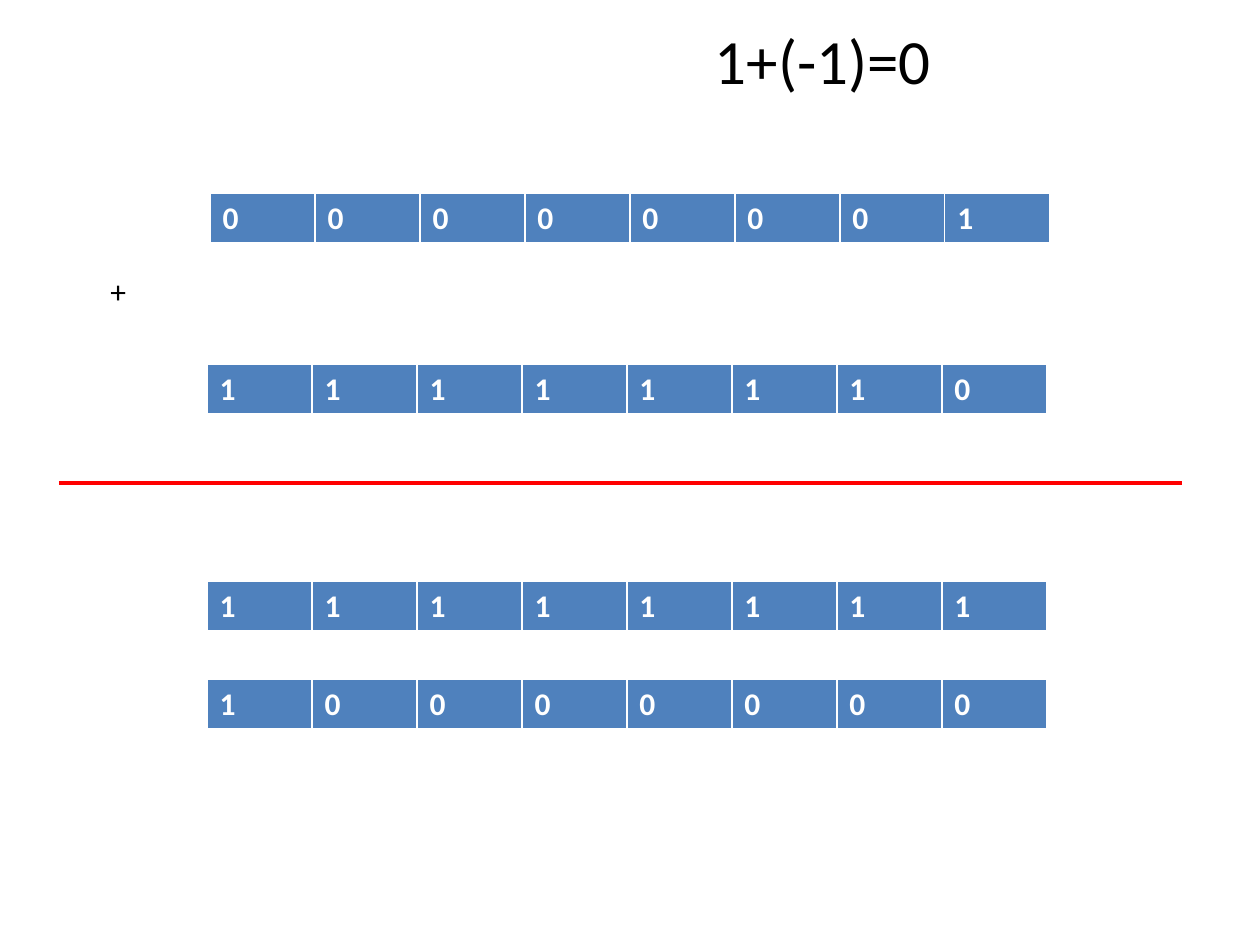
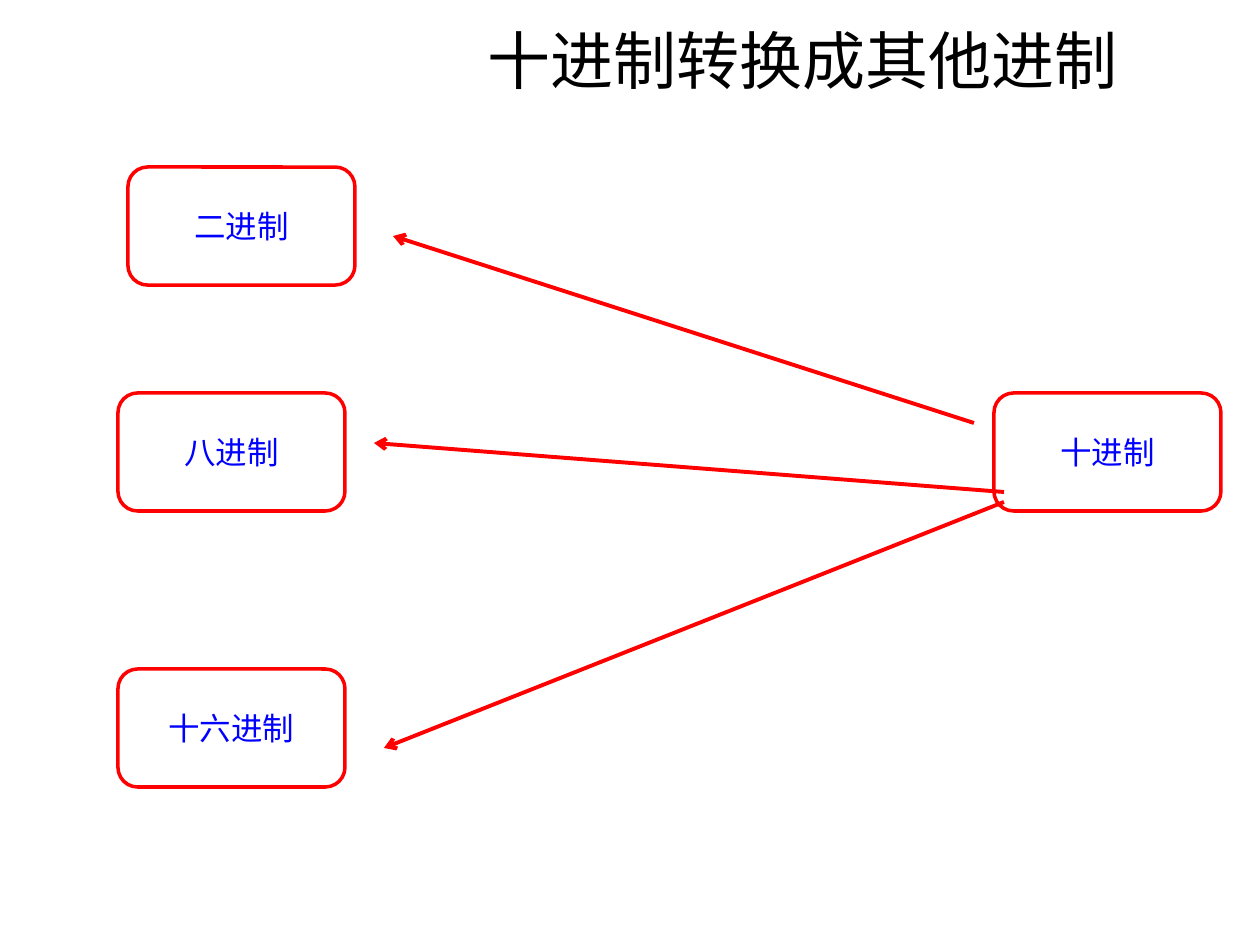
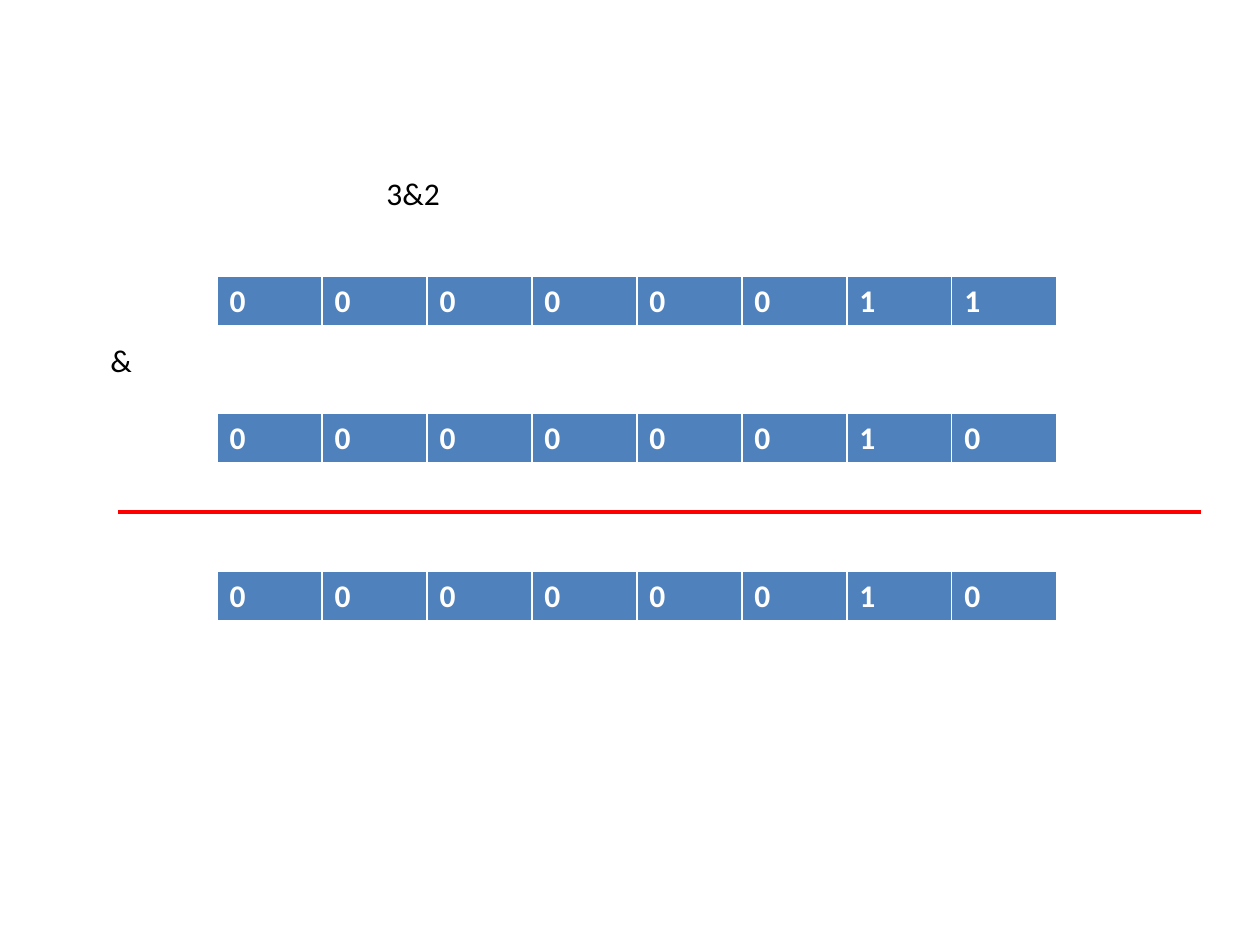
from lxml.etree import SubElement
from pptx import Presentation
from pptx.dml.color import RGBColor
from pptx.enum.shapes import MSO_CONNECTOR as Connector, MSO_SHAPE as ShapeType
from pptx.enum.text import MSO_ANCHOR as Anchor, PP_ALIGN as Align
from pptx.oxml.ns import qn
from pptx.util import Pt

COLORS = {"text": "000000", "cell": "4F81BD", "white": "FFFFFF", "red": "FF0000", "node": "0000FF"}
FONT = "Calibri"
EMU_PER_PX = 914400 / 126
SLIDE_WIDTH, SLIDE_HEIGHT = 1260, 945
TITLE_WIDTH, TITLE_HEIGHT = 1134, 118
BIT_WIDTH, BIT_HEIGHT = 105, 51
NODE_WIDTH, NODE_HEIGHT = 227, 118
LABEL_HEIGHT = 50
RULE_WIDTH = 2.25
BORDERS = {"a:lnL": 1, "a:lnR": 1, "a:lnT": 1, "a:lnB": 3}


def px(*lengths):
    """Convert pixel lengths to a list of EMU."""
    return [round(length * EMU_PER_PX) for length in lengths]


def rgb(name):
    """Return the named colour."""
    return RGBColor.from_string(COLORS[name])


def write_text(frame, text, size=18, color="text", bold=False, align=Align.LEFT):
    """Fill a text frame with one formatted paragraph."""
    paragraph = frame.paragraphs[0]
    paragraph.alignment = align
    run = paragraph.add_run()
    run.text = text
    font = run.font
    font.name, font.size, font.bold = FONT, Pt(size), bold
    font.color.rgb = rgb(color)


def add_label(slide, box, text, anchor=Anchor.TOP, **style):
    """Place a wrapped text box."""
    frame = slide.shapes.add_textbox(*px(*box)).text_frame
    frame.word_wrap = True
    frame.vertical_anchor = anchor
    write_text(frame, text, **style)


def add_title(slide, left, text):
    """Place the slide title in the top band."""
    add_label(slide, (left, 0, TITLE_WIDTH, TITLE_HEIGHT), text,
              anchor=Anchor.MIDDLE, size=36, align=Align.CENTER)


def add_line(slide, start, end, arrow=False):
    """Draw a red line, with an arrowhead at its end on request."""
    connector = slide.shapes.add_connector(Connector.STRAIGHT, *px(*start, *end))
    connector.line.color.rgb = rgb("red")
    connector.line.width = Pt(RULE_WIDTH)
    properties = connector._element.spPr
    if arrow:
        SubElement(properties.find(qn("a:ln")), qn("a:tailEnd"), type="arrow")
    SubElement(properties, qn("a:effectLst"))


def style_cell(cell):
    """Give a cell white borders and the table fill."""
    properties = cell._tc.get_or_add_tcPr()
    for tag, width in BORDERS.items():
        border = SubElement(properties, qn(tag), w=str(Pt(width)))
        fill = SubElement(border, qn("a:solidFill"))
        SubElement(fill, qn("a:srgbClr"), val=COLORS["white"])
    cell.fill.solid()
    cell.fill.fore_color.rgb = rgb("cell")


def add_bits(slide, left, top, bits):
    """Draw a binary number as a table of one row."""
    box = px(left, top, BIT_WIDTH * len(bits), BIT_HEIGHT)
    table = slide.shapes.add_table(1, len(bits), *box).table
    for cell, bit in zip(table.iter_cells(), bits):
        style_cell(cell)
        write_text(cell.text_frame, bit, color="white", bold=True)


def add_node(slide, left, top, text):
    """Draw a rounded box that names a number base."""
    box = px(left, top, NODE_WIDTH, NODE_HEIGHT)
    shape = slide.shapes.add_shape(ShapeType.ROUNDED_RECTANGLE, *box)
    shape.shadow.inherit = False
    shape.fill.background()
    shape.line.color.rgb = rgb("red")
    shape.line.width = Pt(2)
    shape.text_frame.vertical_anchor = Anchor.MIDDLE
    write_text(shape.text_frame, text, color="node", align=Align.CENTER)


def add_calculation(slide, origin, numbers, operator, rule):
    """Draw binary numbers, an operator and a rule relative to the origin."""
    left, top = origin
    for x, y, bits in numbers:
        add_bits(slide, left + x, top + y, bits)
    sign, y, width = operator
    add_label(slide, (left, top + y, width, LABEL_HEIGHT), sign)
    start, end, y = rule
    add_line(slide, (left + start, top + y), (left + end, top + y))


def build_addition(slide):
    """Show the sum of one and minus one."""
    add_title(slide, 256, "1+(-1)=0")
    numbers = [(112, 0, "00000001"), (109, 171, "11111110"),
               (109, 388, "11111111"), (109, 486, "10000000")]
    add_calculation(slide, (98, 193), numbers, ("+", 73, 137), (-39, 1084, 290))


def build_conversion(slide):
    """Show decimal converting to the other bases."""
    add_title(slide, 236, "十进制转换成其他进制")
    add_node(slide, 994, 393, "十进制")
    targets = [
        (128, 167, "二进制", (974, 423), (393, 236)),
        (118, 393, "八进制", (1004, 492), (374, 443)),
        (118, 669, "十六进制", (1004, 502), (384, 748)),
    ]
    for left, top, name, start, end in targets:
        add_node(slide, left, top, name)
        add_line(slide, start, end, arrow=True)


def build_bitwise_and(slide):
    """Show the bitwise AND of three and two."""
    add_label(slide, (374, 168, 266, LABEL_HEIGHT), "3&2")
    numbers = [(119, 0, "00000011"), (119, 137, "00000010"), (119, 295, "00000010")]
    add_calculation(slide, (98, 276), numbers, ("&", 59, 69), (20, 1103, 236))


def main():
    """Build and save the presentation."""
    presentation = Presentation()
    presentation.slide_width, presentation.slide_height = px(SLIDE_WIDTH, SLIDE_HEIGHT)
    blank = presentation.slide_layouts[6]
    for build in (build_addition, build_conversion, build_bitwise_and):
        build(presentation.slides.add_slide(blank))
    presentation.save("out.pptx")


if __name__ == "__main__":
    main()
